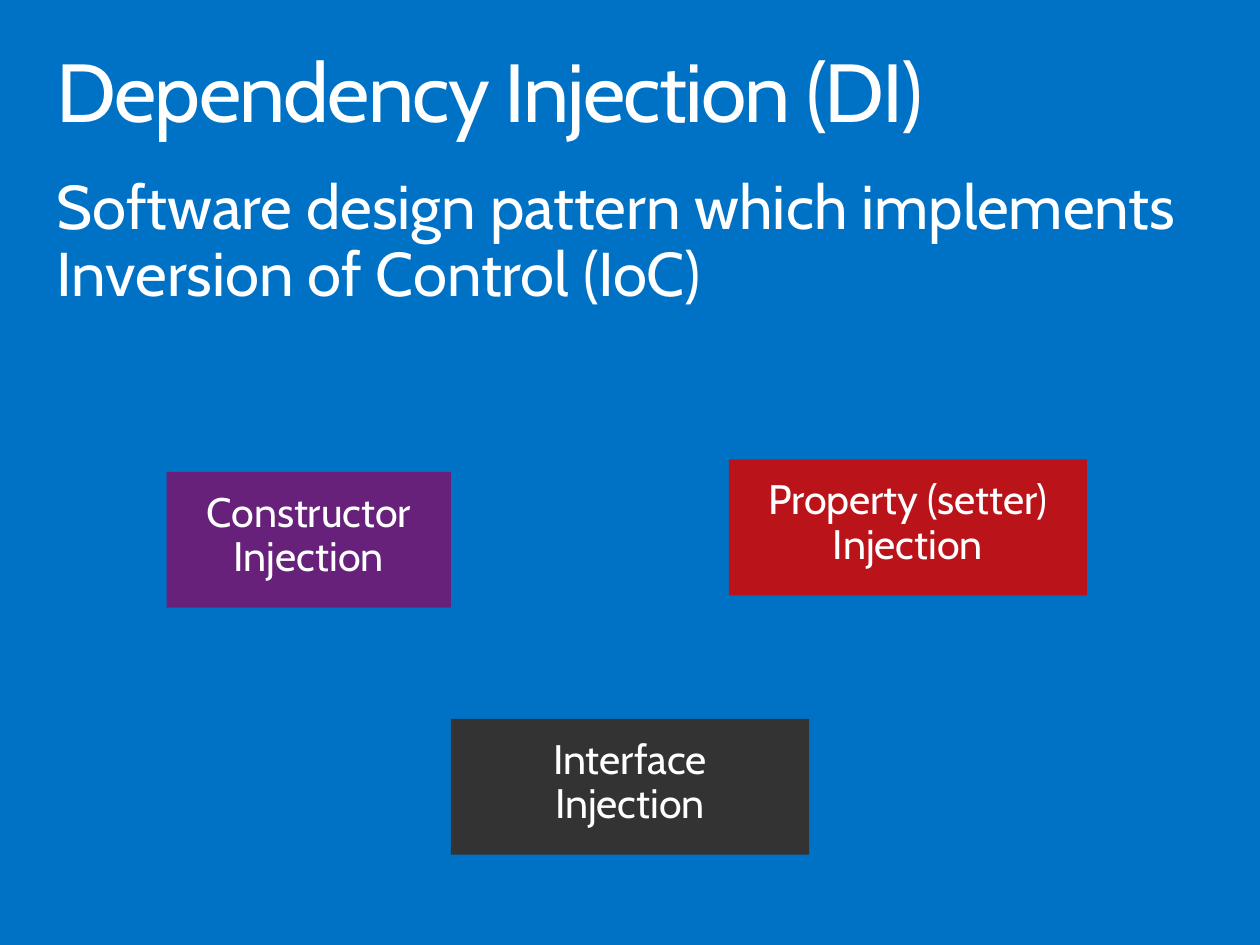
from pptx import Presentation
from pptx.dml.color import RGBColor
from pptx.enum.shapes import MSO_SHAPE as Shape
from pptx.enum.text import MSO_ANCHOR as Anchor, PP_ALIGN as Align
from pptx.oxml.ns import qn
from pptx.util import Inches, Pt


def paint(fill, color):
    fill.solid()
    fill.fore_color.rgb = RGBColor.from_string(color)


def write(shape, text, size, align, side, top):
    frame = shape.text_frame
    frame.word_wrap = True
    frame.vertical_anchor = Anchor.TOP
    frame.margin_left = frame.margin_right = Inches(side)
    frame.margin_top = frame.margin_bottom = Inches(top)
    frame.text = text
    para = frame.paragraphs[0]
    para.alignment = align
    para.line_spacing = 0.9
    font = para.runs[0].font
    font.name = "Cabin"
    font.size = Pt(size)
    paint(font.fill, "FFFFFF")


deck = Presentation()
deck.slide_width, deck.slide_height = Inches(10.2), Inches(7.65)
slide = deck.slides.add_slide(deck.slide_layouts[6])
paint(slide.background.fill, "0072C6")

# Title with tightened letters, then the definition
title = slide.shapes.add_textbox(Inches(0.3), Inches(0.32), Inches(9.6), Inches(1))
write(title, "Dependency Injection (DI)", 48, Align.LEFT, 0.16, 0.1)
for props in title.element.iter(qn("a:rPr")):
    props.set("spc", "-100")

body = slide.shapes.add_textbox(Inches(0.3), Inches(1.33), Inches(9.6), Inches(1.29))
write(body, "Software design pattern which implements Inversion of Control (IoC)",
      36, Align.LEFT, 0.16, 0.1)

# Three kinds of injection
kinds = [
    ("Constructor Injection", 1.35, 3.82, 2.3, "68217A"),
    ("Property (setter) Injection", 5.9, 3.72, 2.9, "BA141A"),
    ("Interface Injection", 3.65, 5.82, 2.9, "333333"),
]
for text, left, top, width, color in kinds:
    box = slide.shapes.add_shape(Shape.RECTANGLE, Inches(left), Inches(top),
                                 Inches(width), Inches(1.1))
    box.shadow.inherit = False
    box.line.fill.background()
    paint(box.fill, color)
    write(box, text, 24, Align.CENTER, 0.2, 0.16)

deck.save("out.pptx")
